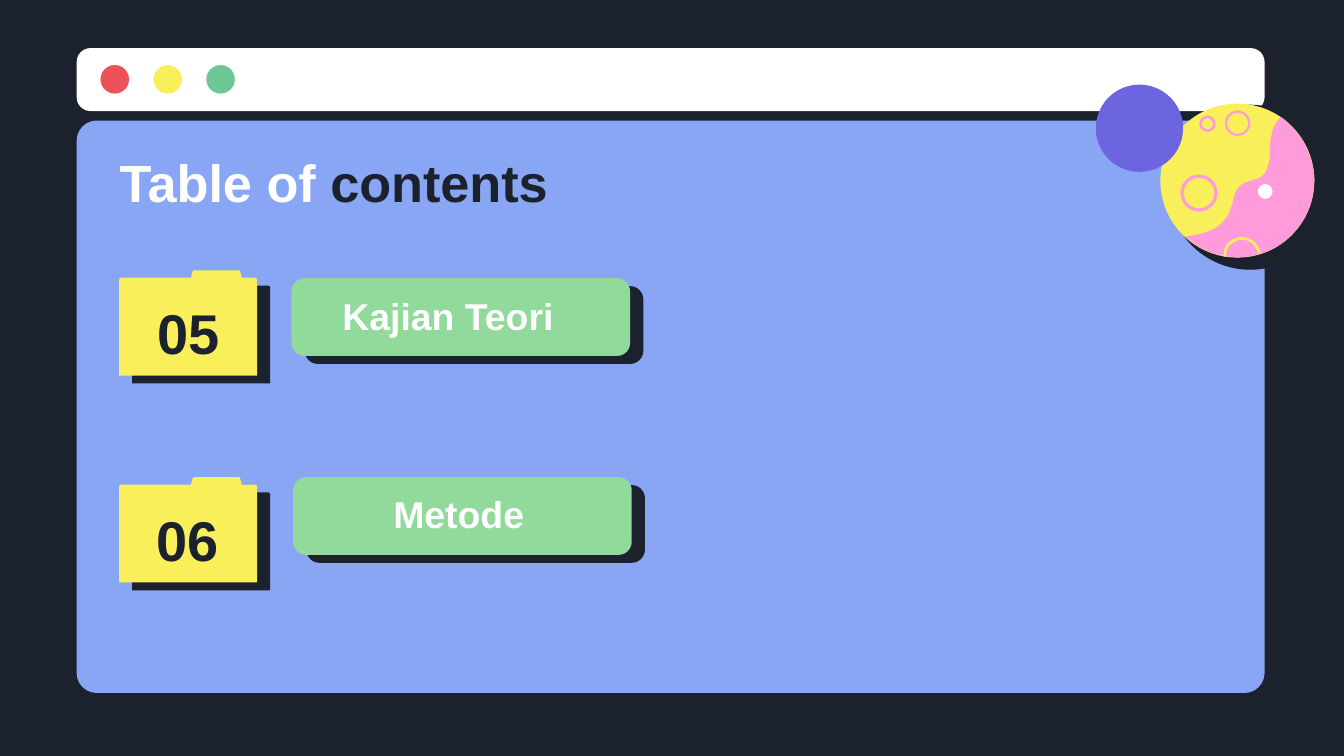
"""Build a table of contents slide in a browser window frame."""
from lxml import etree
from pptx import Presentation
from pptx.dml.color import RGBColor
from pptx.enum.shapes import MSO_SHAPE
from pptx.enum.text import MSO_ANCHOR, MSO_AUTO_SIZE, PP_ALIGN
from pptx.oxml.ns import qn
from pptx.util import Cm, Pt

OVAL, ROUND = MSO_SHAPE.OVAL, MSO_SHAPE.ROUNDED_RECTANGLE
TOP, MIDDLE, BOTTOM = MSO_ANCHOR.TOP, MSO_ANCHOR.MIDDLE, MSO_ANCHOR.BOTTOM
LEFT, CENTER = PP_ALIGN.LEFT, PP_ALIGN.CENTER
NO_FIT = MSO_AUTO_SIZE.NONE

DARK = RGBColor(0x1B, 0x22, 0x2D)
WHITE = RGBColor(0xFF, 0xFF, 0xFF)
RED = RGBColor(0xEB, 0x53, 0x58)
YELLOW = RGBColor(0xF8, 0xEF, 0x5B)
TEAL = RGBColor(0x6D, 0xC7, 0x97)
BLUE = RGBColor(0x88, 0xA6, 0xF3)
PINK = RGBColor(0xFF, 0x9B, 0xDA)
PURPLE = RGBColor(0x6D, 0x65, 0xE0)
GREEN = RGBColor(0x92, 0xD9, 0x9C)

TITLE = [("Table of ", WHITE), ("contents", DARK)]
ITEMS = [
    {"num": "05", "name": "Kajian Teori", "top": 5.11, "button": (5.51, 5.26),
     "label": (5.08, 5.51, 6.78, 1.12), "digit": (2.46, 5.46, 2.21, 1.65)},
    {"num": "06", "name": "Metode", "top": 9.02, "button": (5.54, 9.02),
     "label": (5.18, 9.27, 6.98, 1.12), "digit": (2.44, 9.37, 2.21, 1.65)},
]
PANES = [((1.45, 0.91, 22.45, 1.19), WHITE, 0.22),
         ((1.45, 2.28, 22.45, 10.82), BLUE, 0.035)]
LIGHTS = [RED, YELLOW, TEAL]
RINGS = [(22.66, 3.65, 0.32, 0.06), (22.82, 2.34, 0.13, 0.05),
         (23.39, 2.33, 0.22, 0.04)]
BLOB = [
    (24.21, 2.21),
    (24.41, 2.36, 24.61, 2.59, 24.71, 2.84),
    (24.8, 3.02, 24.84, 3.22, 24.84, 3.42),
    (24.84, 4.06, 24.41, 4.62, 23.83, 4.8),
    (23.35, 4.94, 22.8, 4.85, 22.4, 4.47),
    (23.01, 4.39, 23.22, 4.22, 23.32, 3.73),
    (23.44, 3.2, 24, 3.66, 24, 2.87),
    (24, 2.49, 24.1, 2.31, 24.21, 2.21),
]
ARC = [(23.15, 4.85), (23.13, 4.68, 23.26, 4.53, 23.44, 4.51),
       (23.62, 4.49, 23.77, 4.62, 23.8, 4.79)]
FOLDER = [
    (2.61, 0.2), (2.61, 1.99), (0, 1.99), (0, 0.2),
    (0, 0.15, 0.03, 0.14, 0.07, 0.14), (1.36, 0.14), (1.39, 0.03),
    (1.39, 0.01, 1.4, 0, 1.43, 0), (2.25, 0),
    (2.28, 0, 2.29, 0.01, 2.29, 0.03), (2.32, 0.14), (2.55, 0.14),
    (2.59, 0.14, 2.61, 0.15, 2.61, 0.2),
]
STEPS = 12


def paint(shape, fill=None, line=None, width=0):
    shape.shadow.inherit = False
    if fill is None:
        shape.fill.background()
    else:
        shape.fill.solid()
        shape.fill.fore_color.rgb = fill
    if line is None:
        shape.line.fill.background()
    else:
        shape.line.color.rgb = line
        shape.line.width = Cm(width)
    return shape


def draw(kind, box, fill=None, line=None, width=0, adj=None):
    shape = paint(shapes.add_shape(kind, *map(Cm, box)), fill, line, width)
    if adj is not None:
        shape.adjustments[0] = adj


def trace(path):
    spots = [path[0]]
    for part in path[1:]:
        if len(part) == 2:
            spots.append(part)
            continue
        ends = [spots[-1], part[:2], part[2:4], part[4:]]
        for step in range(1, STEPS + 1):
            t = step / STEPS
            mix = ((1 - t) ** 3, 3 * t * (1 - t) ** 2, 3 * t * t * (1 - t), t ** 3)
            spots.append(tuple(sum(m * p[axis] for m, p in zip(mix, ends))
                               for axis in (0, 1)))
    return spots


def outline(path, left=0, top=0, close=True, **style):
    spots = [(Cm(left + x), Cm(top + y)) for x, y in trace(path)]
    form = shapes.build_freeform(*spots[0])
    form.add_line_segments(spots[1:], close=close)
    return paint(form.convert_to_shape(), **style)


def cast(shape):
    effect = shape._element.spPr.find(qn("a:effectLst"))
    shade = etree.SubElement(effect, qn("a:outerShdw"), dist="104140",
                             dir="1860000", algn="bl", rotWithShape="0")
    etree.SubElement(shade, qn("a:srgbClr"), val=str(DARK))


def write(shape, box, runs, size, anchor, align):
    for name, value in zip(("left", "top", "width", "height"), box):
        setattr(shape, name, Cm(value))
    frame = shape.text_frame
    look = {"word_wrap": True, "auto_size": NO_FIT, "vertical_anchor": anchor}
    look.update({f"margin_{side}": Cm(0.25)
                 for side in ("left", "right", "top", "bottom")})
    for name, value in look.items():
        setattr(frame, name, value)
    para = frame.paragraphs[0]
    para.alignment = align
    for text, color in runs:
        run = para.add_run()
        run.text = text
        for name, value in {"name": "Arial", "size": Pt(size), "bold": True}.items():
            setattr(run.font, name, value)
        run.font.color.rgb = color


def label(box, *rest):
    write(shapes.add_textbox(*map(Cm, box)), box, *rest)


deck = Presentation()
deck.slide_width, deck.slide_height = Cm(25.4), Cm(14.29)
slide = deck.slides.add_slide(deck.slide_layouts[5])
shapes = slide.shapes
slide.background.fill.solid()
slide.background.fill.fore_color.rgb = DARK

for box, color, adj in PANES:
    draw(ROUND, box, color, adj=adj)
for i, color in enumerate(LIGHTS):
    draw(OVAL, (1.9 + i, 1.23, 0.54, 0.54), color)

draw(OVAL, (22.07, 1.98, 3.12, 3.12), DARK)
draw(OVAL, (21.93, 1.96, 2.91, 2.91), YELLOW)
for x, y, r, width in RINGS:
    draw(OVAL, (x - r, y - r, 2 * r, 2 * r), line=PINK, width=width)
outline(BLOB, fill=PINK)
outline(ARC, close=False, line=YELLOW, width=0.05)
draw(OVAL, (23.77, 3.48, 0.28, 0.28), WHITE)
draw(OVAL, (20.71, 1.6, 1.65, 1.65), PURPLE)

for item in ITEMS:
    x, y = item["button"]
    for dx, dy, color in ((0.25, 0.15, DARK), (0, 0, GREEN)):
        draw(ROUND, (x + dx, y + dy, 6.4, 1.47), color, adj=0.17)
    cast(outline(FOLDER, 2.25, item["top"], fill=YELLOW))
    label(item["label"], [(item["name"], WHITE)], 20, BOTTOM, CENTER)
    label(item["digit"], [(item["num"], DARK)], 30, MIDDLE, CENTER)

title = shapes.title
write(title, (2.01, 2.59, 21.41, 1.57), TITLE, 28, TOP, LEFT)
shapes._spTree.append(title._element)
deck.save("out.pptx")
